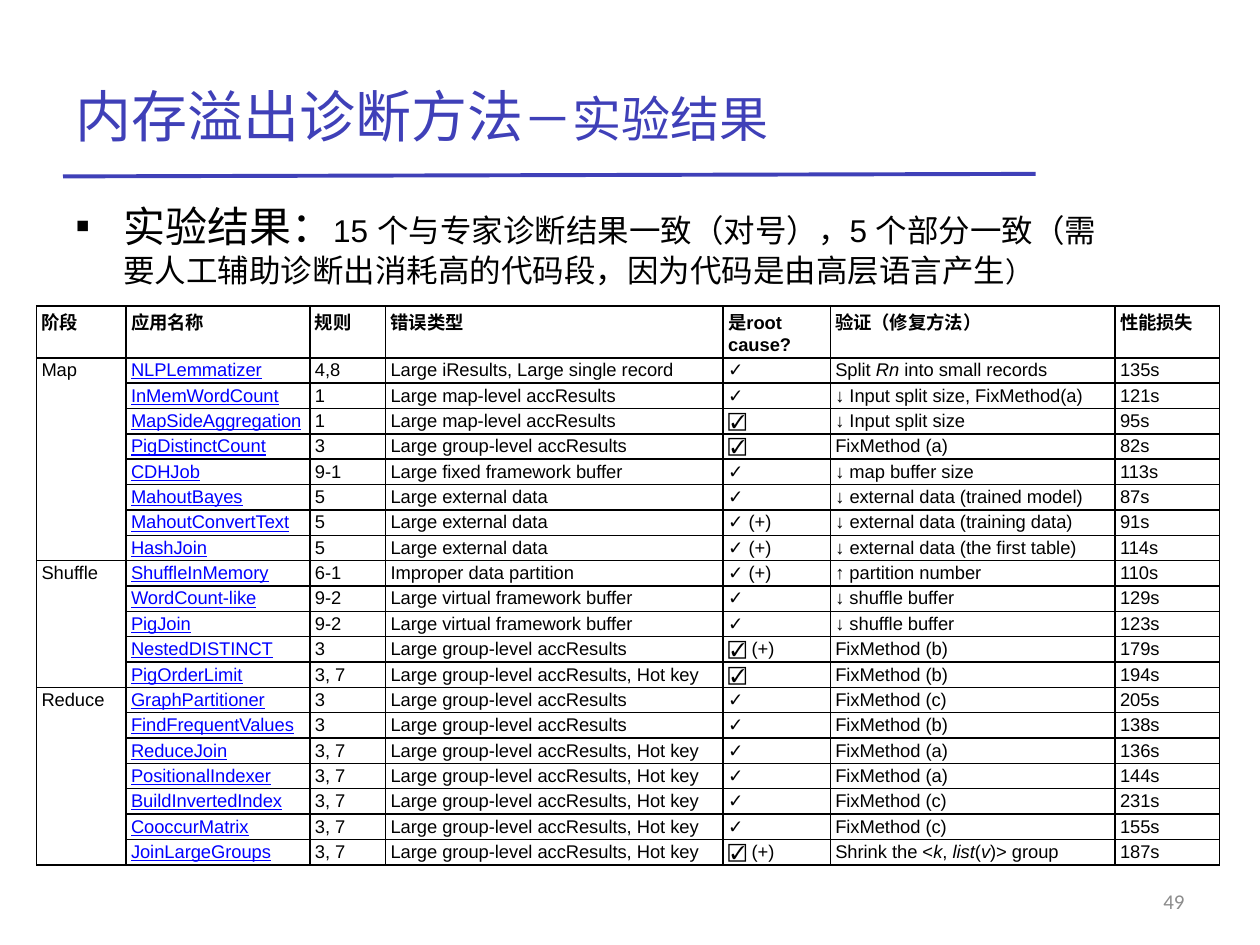
from dataclasses import dataclass
from itertools import groupby

from lxml.etree import SubElement
from pptx import Presentation
from pptx.dml.color import RGBColor
from pptx.enum.shapes import MSO_CONNECTOR as Connector
from pptx.enum.text import MSO_ANCHOR as Anchor, PP_ALIGN as Align
from pptx.oxml.ns import qn
from pptx.util import Inches, Pt


@dataclass(frozen=True)
class Theme:
    accent: str = "3F40B8"
    text: str = "000000"
    link: str = "0000FF"
    muted: str = "8C8C8C"
    latin: str = "Arial"
    chinese: str = "Noto Sans CJK SC"
    number: str = "Calibri"
    title: float = 32
    subtitle: float = 28
    lead: float = 24
    body: float = 18
    bracket: float = 16
    page: float = 12
    cell: float = 10.5


THEME = Theme()

TITLE = [("内存溢出诊断方法", THEME.title), ("－实验结果", THEME.subtitle)]
SUMMARY = [
    ("实验结果：", THEME.lead),
    ("15 个与专家诊断结果一致（对号），5 个部分一致"
     "（需要人工辅助诊断出消耗高的代码段，因为代码是由高层语言产生", THEME.body),
    ("）", THEME.bracket),
]
PAGE = [("49", THEME.page)]

HEADER = ("阶段", "应用名称", "规则", "错误类型", "是root cause?", "验证（修复方法）", "性能损失")
COLUMN_WIDTHS = (0.71, 1.46, 0.6, 2.68, 0.85, 2.26, 0.83)
LINK_COLUMN = 1
TABLE_HEIGHT, HEADER_HEIGHT = 4.44, 0.41

GROUP = "Large group-level accResults"
HOT = GROUP + ", Hot key"
MAP = "Large map-level accResults"
EXTERNAL = "Large external data"
BUFFER = "Large virtual framework buffer"

# In cell text, _ switches italic and * switches bold.
STAGES = {
    "Map": [
        ("NLPLemmatizer", "4,8", "Large iResults, Large single record", "✓",
         "Split _Rn _into small records", "135s"),
        ("InMemWordCount", "1", MAP, "✓", "↓ Input split size, FixMethod(a)", "121s"),
        ("MapSideAggregation", "1", MAP, "☑", "↓ Input split size", "95s"),
        ("PigDistinctCount", "3", GROUP, "☑", "FixMethod (a)", "82s"),
        ("CDHJob", "9-1", "Large fixed framework buffer", "✓", "↓ map buffer size", "113s"),
        ("MahoutBayes", "5", EXTERNAL, "✓", "*↓ *external data (trained model)", "87s"),
        ("MahoutConvertText", "5", EXTERNAL, "✓ (+)", "*↓ *external data (training data)", "91s"),
        ("HashJoin", "5", EXTERNAL, "✓ (+)", "*↓ *external data (the first table)", "114s"),
    ],
    "Shuffle": [
        ("ShuffleInMemory", "6-1", "Improper data partition", "✓ (+)", "↑ partition number", "110s"),
        ("WordCount-like", "9-2", BUFFER, "✓", "↓ shuffle buffer", "129s"),
        ("PigJoin", "9-2", BUFFER, "✓", "↓ shuffle buffer", "123s"),
        ("NestedDISTINCT", "3", GROUP, "☑ (+)", "FixMethod (b)", "179s"),
        ("PigOrderLimit", "3, 7", HOT, "☑", "FixMethod (b)", "194s"),
    ],
    "Reduce": [
        ("GraphPartitioner", "3", GROUP, "✓", "FixMethod (c)", "205s"),
        ("FindFrequentValues", "3", GROUP, "✓", "FixMethod (b)", "138s"),
        ("ReduceJoin", "3, 7", HOT, "✓", "FixMethod (a)", "136s"),
        ("PositionalIndexer", "3, 7", HOT, "✓", "FixMethod (a)", "144s"),
        ("BuildInvertedIndex", "3, 7", HOT, "✓", "FixMethod (c)", "231s"),
        ("CooccurMatrix", "3, 7", HOT, "✓", "FixMethod (c)", "155s"),
        ("JoinLargeGroups", "3, 7", HOT, "☑ (+)", "Shrink the <_k_, _list_(_v_)> group", "187s"),
    ],
}


def add_run(paragraph, text, size, color, latin, chinese=None):
    run = paragraph.add_run()
    run.text = text
    run.font.size, run.font.name = Pt(size), latin
    run.font.color.rgb = RGBColor.from_string(color)
    if chinese:
        SubElement(run._r.get_or_add_rPr(), qn("a:ea"), typeface=chinese)
    return run


def add_text(slide, box, runs, color, latin, anchor=Anchor.MIDDLE):
    frame = slide.shapes.add_textbox(*map(Inches, box)).text_frame
    frame.word_wrap = True
    frame.vertical_anchor = anchor
    paragraph = frame.paragraphs[0]
    for text, size in runs:
        add_run(paragraph, text, size, color, latin, THEME.chinese)
    return paragraph


def add_square_bullet(paragraph, indent):
    properties = paragraph._p.get_or_add_pPr()
    properties.set("marL", str(Inches(indent)))
    properties.set("indent", str(-Inches(indent)))
    SubElement(properties, qn("a:buFont"), typeface=THEME.latin)
    SubElement(properties, qn("a:buChar"), char="▪")


def add_rule(slide, start, end):
    rule = slide.shapes.add_connector(Connector.STRAIGHT, *map(Inches, start + end))
    rule.line.color.rgb = RGBColor.from_string(THEME.accent)
    rule.line.width = Pt(2.25)
    SubElement(rule._element.spPr, qn("a:effectLst"))


def styled_pieces(text):
    """Yield (piece, italic, bold) from text marked with _ and *."""
    italic = bold = False
    marked = []
    for letter in text:
        if letter == "_":
            italic = not italic
        elif letter == "*":
            bold = not bold
        else:
            marked.append((letter, italic, bold))
    for style, letters in groupby(marked, key=lambda item: item[1:]):
        yield "".join(item[0] for item in letters), *style


def border_cell(cell):
    properties = cell._tc.get_or_add_tcPr()
    for position, side in enumerate(("lnL", "lnR", "lnT", "lnB")):
        line = SubElement(properties, qn("a:" + side), w=str(Pt(1)))
        SubElement(SubElement(line, qn("a:solidFill")), qn("a:srgbClr"), val=THEME.text)
        properties.remove(line)
        properties.insert(position, line)


def fill_cell(cell, text, is_header=False, is_link=False):
    cell.margin_left = cell.margin_right = Inches(0.04)
    cell.margin_top, cell.margin_bottom = Inches(0.02), 0
    cell.fill.background()
    border_cell(cell)
    paragraph = cell.text_frame.paragraphs[0]
    for piece, italic, bold in styled_pieces(text):
        run = add_run(paragraph, piece, THEME.cell, THEME.link if is_link else THEME.text,
                      THEME.latin, THEME.chinese if is_header else None)
        run.font.bold = is_header or bold
        run.font.italic = italic
        run.font.underline = is_link
    if not text:
        paragraph.font.size = Pt(THEME.cell)
        SubElement(paragraph._p, qn("a:endParaRPr"), sz=str(int(THEME.cell * 100)))


def add_results_table(slide, left, top):
    rows = [HEADER]
    for stage, applications in STAGES.items():
        rows += [(stage if index == 0 else "", *application)
                 for index, application in enumerate(applications)]
    row_height = (TABLE_HEIGHT - HEADER_HEIGHT) / (len(rows) - 1)
    table = slide.shapes.add_table(len(rows), len(HEADER), Inches(left), Inches(top),
                                   Inches(sum(COLUMN_WIDTHS)), Inches(TABLE_HEIGHT)).table
    table.first_row = table.horz_banding = False
    for column, width in zip(table.columns, COLUMN_WIDTHS):
        column.width = Inches(width)
    for row_index, values in enumerate(rows):
        is_header = row_index == 0
        table.rows[row_index].height = Inches(HEADER_HEIGHT if is_header else row_height)
        for column_index, value in enumerate(values):
            fill_cell(table.cell(row_index, column_index), value, is_header,
                      not is_header and column_index == LINK_COLUMN)
    first = 1
    for applications in STAGES.values():
        last = first + len(applications) - 1
        table.cell(first, 0).merge(table.cell(last, 0))
        first = last + 1


def main():
    presentation = Presentation()
    presentation.slide_width, presentation.slide_height = Inches(10), Inches(7.5)
    slide = presentation.slides.add_slide(presentation.slide_layouts[6])
    add_rule(slide, (0.5, 1.4), (8.22, 1.38))
    add_text(slide, (0.5, 0.45, 9, 0.93), TITLE, THEME.accent, THEME.chinese)
    summary = add_text(slide, (0.5, 1.54, 8.44, 4.95), SUMMARY, THEME.text, THEME.latin, Anchor.TOP)
    add_square_bullet(summary, 0.38)
    page = add_text(slide, (7.17, 6.95, 2.33, 0.4), PAGE, THEME.muted, THEME.number)
    page.alignment = Align.RIGHT
    add_results_table(slide, 0.29, 2.43)
    presentation.save("out.pptx")


if __name__ == "__main__":
    main()
